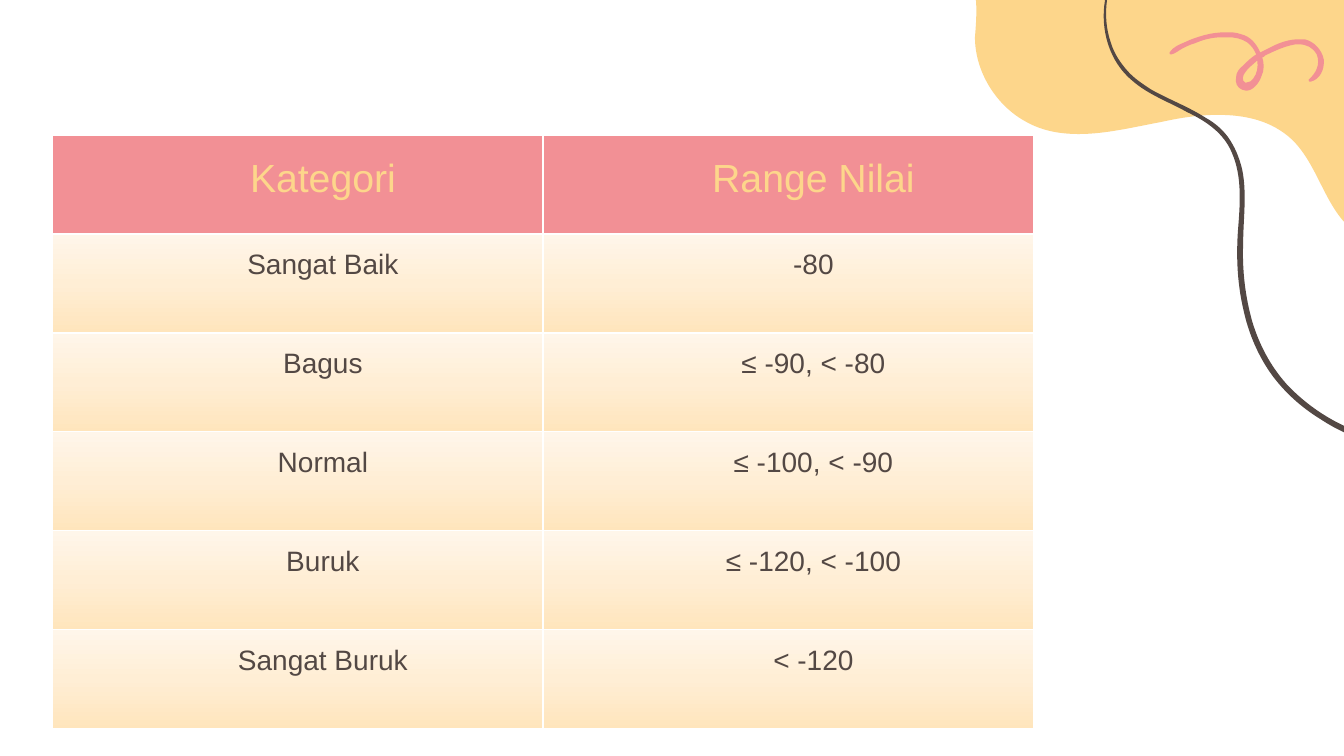
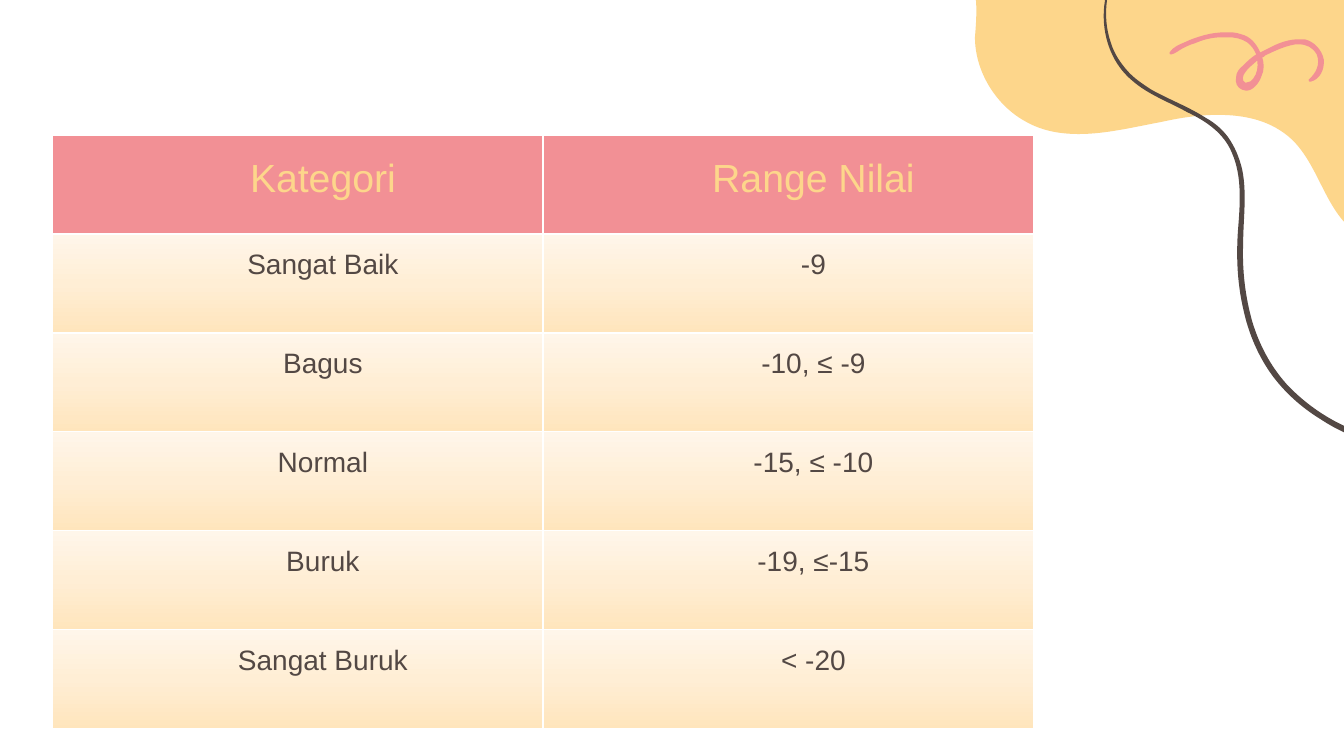
from lxml import etree
from pptx import Presentation
from pptx.dml.color import RGBColor
from pptx.enum.text import PP_ALIGN
from pptx.oxml.ns import qn
from pptx.util import Inches, Pt

CENTER = PP_ALIGN.CENTER
YELLOW, BROWN, PINK, WHITE = "FDD68B", "534844", "F29095", "FFFFFF"
GRADIENT_ENDS, GRADIENT_MIDDLE = ["FFE5BC", "FFF6EA"], "FFEED5"
BLOB = [
    (9.68, 0),
    (9.69, 0.12, 9.68, 0.25, 9.67, 0.37),
    (9.67, 0.71, 9.88, 1.05, 10.18, 1.21),
    (10.34, 1.3, 10.52, 1.33, 10.7, 1.33),
    (10.97, 1.33, 11.25, 1.26, 11.52, 1.21),
    (11.7, 1.17, 11.89, 1.14, 12.08, 1.14),
    (12.36, 1.14, 12.62, 1.2, 12.82, 1.39),
    (13.05, 1.62, 13.12, 1.96, 13.33, 2.2),
    (13.33, 0),
]
RIBBON = [
    (10.98, 0),
    (10.96, 0),
    (10.91, 0.29, 11, 0.61, 11.23, 0.8),
    (11.39, 0.94, 11.59, 1.01, 11.77, 1.11),
    (11.96, 1.2, 12.14, 1.32, 12.22, 1.52),
    (12.32, 1.75, 12.3, 2.02, 12.28, 2.27),
    (12.26, 2.53, 12.27, 2.8, 12.33, 3.06),
    (12.38, 3.3, 12.48, 3.54, 12.63, 3.74),
    (12.76, 3.91, 12.92, 4.05, 13.1, 4.16),
    (13.25, 4.26, 13.41, 4.33, 13.58, 4.39),
    (13.58, 4.33),
    (13.47, 4.29, 13.36, 4.24, 13.26, 4.19),
    (13.07, 4.09, 12.9, 3.96, 12.76, 3.81),
    (12.6, 3.63, 12.49, 3.42, 12.42, 3.19),
    (12.35, 2.94, 12.32, 2.68, 12.33, 2.42),
    (12.33, 2.18, 12.37, 1.92, 12.32, 1.68),
    (12.29, 1.56, 12.25, 1.46, 12.18, 1.36),
    (12.12, 1.28, 12.05, 1.22, 11.96, 1.17),
    (11.79, 1.06, 11.6, 0.99, 11.42, 0.89),
    (11.33, 0.83, 11.25, 0.78, 11.18, 0.7),
    (11.11, 0.62, 11.05, 0.53, 11.02, 0.43),
    (10.97, 0.29, 10.96, 0.14, 10.98, 0),
]
SCRIBBLE_LOOP = [
    (12.47, 0.6),
    (12.47, 0.6),
    (12.48, 0.66, 12.47, 0.73, 12.43, 0.78),
    (12.42, 0.8, 12.39, 0.82, 12.36, 0.82),
    (12.36, 0.82, 12.35, 0.82, 12.35, 0.82),
    (12.31, 0.8, 12.33, 0.74, 12.35, 0.72),
    (12.38, 0.67, 12.43, 0.64, 12.47, 0.6),
]
SCRIBBLE = [
    (12.16, 0.32),
    (12.09, 0.32, 12.01, 0.33, 11.94, 0.35),
    (11.87, 0.37, 11.81, 0.39, 11.75, 0.42),
    (11.7, 0.44, 11.63, 0.47, 11.6, 0.52),
    (11.6, 0.53, 11.6, 0.54, 11.61, 0.54),
    (11.61, 0.54, 11.62, 0.54, 11.62, 0.54),
    (11.66, 0.53, 11.69, 0.5, 11.73, 0.48),
    (11.77, 0.46, 11.81, 0.44, 11.85, 0.43),
    (11.94, 0.39, 12.03, 0.37, 12.12, 0.37),
    (12.14, 0.37, 12.16, 0.37, 12.18, 0.37),
    (12.24, 0.37, 12.31, 0.38, 12.37, 0.42),
    (12.41, 0.45, 12.44, 0.49, 12.46, 0.54),
    (12.41, 0.57, 12.37, 0.61, 12.33, 0.65),
    (12.29, 0.68, 12.26, 0.72, 12.26, 0.77),
    (12.25, 0.82, 12.27, 0.87, 12.32, 0.89),
    (12.33, 0.89, 12.35, 0.9, 12.36, 0.9),
    (12.43, 0.9, 12.49, 0.82, 12.51, 0.76),
    (12.54, 0.7, 12.54, 0.63, 12.52, 0.57),
    (12.53, 0.57, 12.54, 0.56, 12.55, 0.55),
    (12.63, 0.51, 12.72, 0.47, 12.8, 0.45),
    (12.83, 0.44, 12.86, 0.44, 12.88, 0.44),
    (12.96, 0.44, 13.02, 0.47, 13.06, 0.54),
    (13.1, 0.64, 13.05, 0.73, 12.98, 0.79),
    (12.98, 0.8, 12.98, 0.81, 12.99, 0.81),
    (12.99, 0.81, 13, 0.81, 13, 0.81),
    (13.09, 0.79, 13.14, 0.69, 13.13, 0.59),
    (13.11, 0.49, 13.03, 0.41, 12.94, 0.39),
    (12.92, 0.39, 12.9, 0.39, 12.88, 0.39),
    (12.79, 0.39, 12.7, 0.42, 12.62, 0.46),
    (12.58, 0.48, 12.54, 0.5, 12.5, 0.52),
    (12.46, 0.43, 12.4, 0.36, 12.31, 0.34),
    (12.26, 0.32, 12.21, 0.32, 12.16, 0.32),
]
DECORATIONS = [(YELLOW, [BLOB]), (BROWN, [RIBBON]), (PINK, [SCRIBBLE_LOOP, SCRIBBLE])]

HEADINGS = ["Kategori", "Range Nilai"]
CATEGORIES = ["Sangat Baik", "Bagus", "Normal", "Buruk", "Sangat Buruk"]
RANGES = [
    ["-80", "≤ -90, < -80", "≤ -100, < -90", "≤ -120, < -100", "< -120"],
    ["-9", "-10, ≤ -9", "-15, ≤ -10", "-19, ≤-15", "< -20"],
]
TABLE_WIDTH, TABLE_HEIGHT = Inches(9.73), Inches(5.89)


def color(value):
    return RGBColor.from_string(value)


def draw_outlines(page, outlines, fill):
    builder = page.shapes.build_freeform(*map(Inches, outlines[0][0]))
    for index, outline in enumerate(outlines):
        if index:
            builder.move_to(*map(Inches, outline[0]))
        ends = [tuple(map(Inches, segment[-2:])) for segment in outline[1:]]
        builder.add_line_segments(ends, close=True)
    shape = builder.convert_to_shape()
    segments = [segment for outline in outlines for segment in outline[1:]]
    for line, segment in zip(list(shape.element.iter(qn("a:lnTo"))), segments):
        if len(segment) == 6:
            curve = etree.Element(qn("a:cubicBezTo"))
            for x, y in zip(segment[::2], segment[1::2]):
                etree.SubElement(curve, qn("a:pt"), x=str(Inches(x) - shape.left), y=str(Inches(y) - shape.top))
            line.getparent().replace(line, curve)
    shape.shadow.inherit = False
    shape.fill.solid()
    shape.fill.fore_color.rgb = color(fill)
    shape.line.fill.background()
    return shape


deck = Presentation()
deck.slide_width, deck.slide_height = Inches(13.33), Inches(7.5)
layout = deck.slide_layouts[6]
for placeholder in list(layout.placeholders):
    layout.shapes.element.remove(placeholder.element)
pages = [deck.slides.add_slide(layout) for _ in RANGES]

decorations = [draw_outlines(pages[0], outlines, fill) for fill, outlines in DECORATIONS]
for shape in decorations:
    layout.shapes.element.append(shape.element)

for page, ranges in zip(pages, RANGES):
    rows = [HEADINGS, *zip(CATEGORIES, ranges)]
    frame = page.shapes.add_table(
        len(rows), len(HEADINGS), Inches(0.52), Inches(1.34), TABLE_WIDTH, TABLE_HEIGHT)
    table = frame.table
    table.first_row = table.horz_banding = False
    for row_index, texts in enumerate(rows):
        header = row_index == 0
        for column_index, text in enumerate(texts):
            cell = table.cell(row_index, column_index)
            cell.margin_left = cell.margin_right = Inches(0.07)
            cell.margin_top = cell.margin_bottom = 0
            if header:
                cell.fill.solid()
                cell.fill.fore_color.rgb = color(PINK)
            else:
                cell.fill.gradient()
                cell.fill.gradient_angle = 90
                for stop, shade in zip(cell.fill.gradient_stops, GRADIENT_ENDS):
                    stop.color.rgb = color(shade)
            para = cell.text_frame.paragraphs[0]
            para.alignment = CENTER
            para.line_spacing = 1.5
            span = para.add_run()
            span.text = text
            span.font.name = "Arial"
            span.font.size = Pt(28 if header else 20)
            span.font.color.rgb = color(YELLOW if header else BROWN)
    for properties in frame.element.iter(qn("a:pPr")):
        properties.set("marL", str(Inches(0.5)))
        properties.set("indent", "0")
    for stops in frame.element.iter(qn("a:gsLst")):
        middle = etree.Element(qn("a:gs"), pos="50000")
        etree.SubElement(middle, qn("a:srgbClr"), val=GRADIENT_MIDDLE)
        stops.insert(1, middle)
    for properties in frame.element.iter(qn("a:tcPr")):
        for side_index, side in enumerate(["L", "R", "T", "B"]):
            border = etree.Element(qn("a:ln" + side), w=str(Pt(1)))
            fill = etree.SubElement(border, qn("a:solidFill"))
            etree.SubElement(fill, qn("a:srgbClr"), val=WHITE)
            properties.insert(side_index, border)

deck.save("out.pptx")
